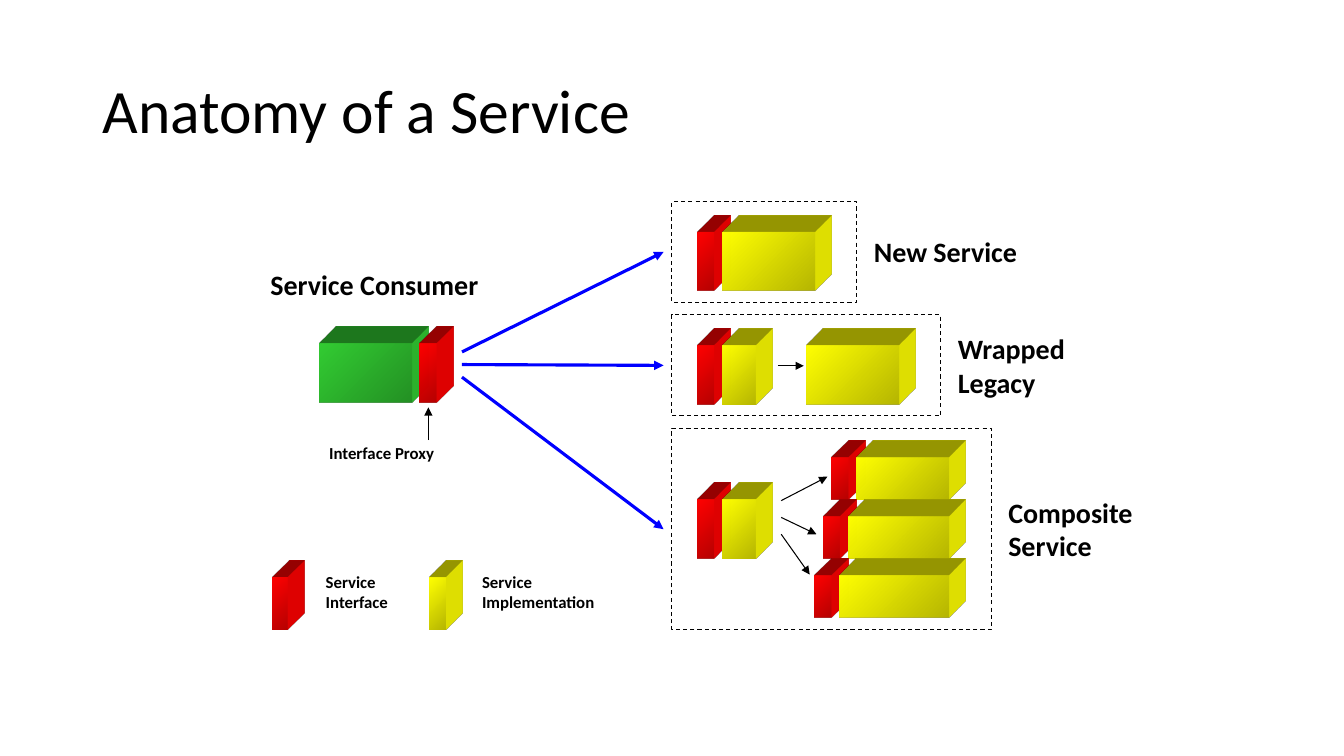
from collections import namedtuple

from lxml.etree import SubElement
from pptx import Presentation
from pptx.dml.color import RGBColor
from pptx.enum.dml import MSO_LINE
from pptx.enum.shapes import MSO_CONNECTOR, MSO_SHAPE
from pptx.enum.text import MSO_ANCHOR, MSO_AUTO_SIZE, PP_ALIGN
from pptx.oxml import parse_xml
from pptx.oxml.ns import nsdecls, qn
from pptx.util import Inches, Pt

BLACK = RGBColor(0x00, 0x00, 0x00)
BLUE = RGBColor(0x00, 0x00, 0xFF)
RED = RGBColor(0xFF, 0x00, 0x00)
YELLOW = RGBColor(0xFF, 0xFF, 0x00)
GREEN = RGBColor(0x33, 0xCC, 0x33)
FONT = "Calibri"
COLUMNS, ROWS = 160, 90
CELL = Inches(1 / 12)
BLOCK_HEIGHT = 7
SLAB_WIDTH = 2

Box = namedtuple("Box", "left top width height")


def grid(*cells):
    """Turn grid cells into lengths."""
    return [round(cell * CELL) for cell in cells]


def style_runs(text_frame, size, bold):
    """Format every run of a text frame."""
    for paragraph in text_frame.paragraphs:
        for run in paragraph.runs:
            run.font.name = FONT
            run.font.size = Pt(size)
            run.font.bold = bold
            run.font.color.rgb = BLACK


def add_label(slide, text, box, size):
    """Add a bold label that keeps its own line breaks."""
    frame = slide.shapes.add_textbox(*grid(*box)).text_frame
    frame.text = text
    frame.word_wrap = False
    frame.auto_size = MSO_AUTO_SIZE.SHAPE_TO_FIT_TEXT
    style_runs(frame, size, True)


def add_block(slide, color, left, top, width, height=BLOCK_HEIGHT):
    """Add a shaded block extruded towards the upper right."""
    block = slide.shapes.add_shape(MSO_SHAPE.RECTANGLE, *grid(left, top, width, height))
    block.shadow.inherit = False
    block.line.fill.background()
    block.fill.gradient()
    block.fill.gradient_angle = 315
    for stop in block.fill.gradient_stops:
        stop.color.rgb = color
    properties = block._element.spPr
    dark = list(properties.iter(qn("a:srgbClr")))[-1]
    SubElement(dark, qn("a:shade")).set("val", "46275")
    properties.append(parse_xml(
        f'<a:scene3d {nsdecls("a")}><a:camera prst="legacyObliqueTopRight"/>'
        '<a:lightRig rig="legacyFlat3" dir="b"/></a:scene3d>'))
    properties.append(parse_xml(
        f'<a:sp3d {nsdecls("a")} extrusionH="430200" prstMaterial="legacyMatte">'
        '<a:bevelT w="13500" h="13500" prst="angle"/>'
        '<a:bevelB w="13500" h="13500" prst="angle"/>'
        f'<a:extrusionClr><a:srgbClr val="{color}"/></a:extrusionClr></a:sp3d>'))


def add_service_blocks(slide, left, top, width, height=BLOCK_HEIGHT):
    """Add an interface slab with its implementation block."""
    add_block(slide, RED, left, top, SLAB_WIDTH, height)
    add_block(slide, YELLOW, left + 3, top, width, height)


def add_arrow(slide, start, end, color=BLACK, weight=0.75):
    """Add a straight arrow between two grid points."""
    arrow = slide.shapes.add_connector(MSO_CONNECTOR.STRAIGHT, *grid(*start, *end))
    arrow.line.color.rgb = color
    arrow.line.width = Pt(weight)
    SubElement(arrow.line._get_or_add_ln(), qn("a:tailEnd")).set("type", "triangle")
    SubElement(arrow._element.spPr, qn("a:effectLst"))


def add_service_frame(slide, box, name, label_width, label_height):
    """Add a dashed frame with the service name to its right."""
    frame = slide.shapes.add_shape(MSO_SHAPE.RECTANGLE, *grid(*box))
    frame.shadow.inherit = False
    frame.fill.background()
    frame.line.color.rgb = BLACK
    frame.line.width = Pt(0.75)
    frame.line.dash_style = MSO_LINE.DASH
    label_top = box.top + (box.height - label_height) / 2
    add_label(slide, name, Box(box.left + box.width + 0.85, label_top,
                               label_width, label_height), 20)


def build_title(slide, box):
    """Place and format the slide title."""
    title = slide.shapes.title
    title.left, title.top, title.width, title.height = grid(*box)
    title.text_frame.text = "Anatomy of a Service"
    title.text_frame.vertical_anchor = MSO_ANCHOR.MIDDLE
    heading = title.text_frame.paragraphs[0]
    heading.alignment = PP_ALIGN.LEFT
    heading.line_spacing = 0.9
    style_runs(title.text_frame, 44, False)


def build_consumer(slide, box):
    """Draw the consumer with its interface proxy."""
    left, top = box.left, box.top
    add_label(slide, "Service Consumer", Box(left, top, box.width, 5.25), 20)
    add_block(slide, GREEN, left + 7, top + 9.7, 11)
    add_block(slide, RED, left + 19, top + 9.7, SLAB_WIDTH)
    add_label(slide, "Interface Proxy", Box(left + 7, top + 20.9, 15, 3.6), 12)
    add_arrow(slide, (left + 20, top + 21.2), (left + 20, top + 17.3))


def build_new_service(slide, box):
    """Draw a service implemented from scratch."""
    add_service_blocks(slide, box.left + 3, box.top + 3.65, 11)
    add_service_frame(slide, box, "New Service", 19.7, 5.25)


def build_wrapped_legacy(slide, box):
    """Draw a service that wraps a legacy system."""
    left, top = box.left, box.top + 3.65
    add_service_blocks(slide, left + 3, top, 4)
    add_block(slide, YELLOW, left + 16, top, 11)
    add_arrow(slide, (left + 12.6, top + 2.4), (left + 15.7, top + 2.4))
    add_service_frame(slide, box, "Wrapped\nLegacy", 15.4, 9.25)


def build_composite_service(slide, box):
    """Draw a service that calls three other services."""
    left, top = box.left, box.top
    add_service_blocks(slide, left + 3, top + 8.5, 4)
    for row in range(3):
        add_service_blocks(slide, left + 19 - row, top + 3.5 + 7 * row, 11 + row, 5)
    for row, end in enumerate([(18.5, 5.75), (17.2, 12.6), (16.4, 17.4)]):
        add_arrow(slide, (left + 13, top + 8.6 + 2 * row), (left + end[0], top + end[1]))
    add_service_frame(slide, box, "Composite\nService", 21, 9.25)


def build_legend(slide, box):
    """Explain the two block colours."""
    entries = [(RED, "Interface", 0, 1.8, 9.8), (YELLOW, "Implementation", 18.6, 2, 16)]
    for color, part, offset, width, label_width in entries:
        left = box.left + offset
        add_block(slide, color, left, box.top + 1.25, width, box.height - 1.25)
        add_label(slide, f"Service\n{part}", Box(left + 5.1, box.top, label_width, 6), 12)


def build_calls(slide, start, services):
    """Link the consumer to the middle of each service's left side."""
    for row, service in enumerate(services):
        add_arrow(slide, (start[0], start[1] + 1.5 * row),
                  (service.left - 1, service.top + service.height / 2), BLUE, 2.25)


def main():
    """Build and save the slide."""
    deck = Presentation()
    deck.slide_width, deck.slide_height = grid(COLUMNS, ROWS)
    slide = deck.slides.add_slide(deck.slide_layouts[5])
    new_service = Box(80, 24, 22, 12)
    wrapped_legacy = Box(80, 37.5, 32, 12)
    composite = Box(80, 51, 38, 24)
    build_title(slide, Box(11, 4.8, 138, 17.4))
    build_consumer(slide, Box(31, 31.2, 27.5, 24.5))
    build_new_service(slide, new_service)
    build_wrapped_legacy(slide, wrapped_legacy)
    build_composite_service(slide, composite)
    build_calls(slide, (55, 41.9), [new_service, wrapped_legacy, composite])
    build_legend(slide, Box(32.5, 67.5, 40, 7.5))
    deck.save("out.pptx")


main()
